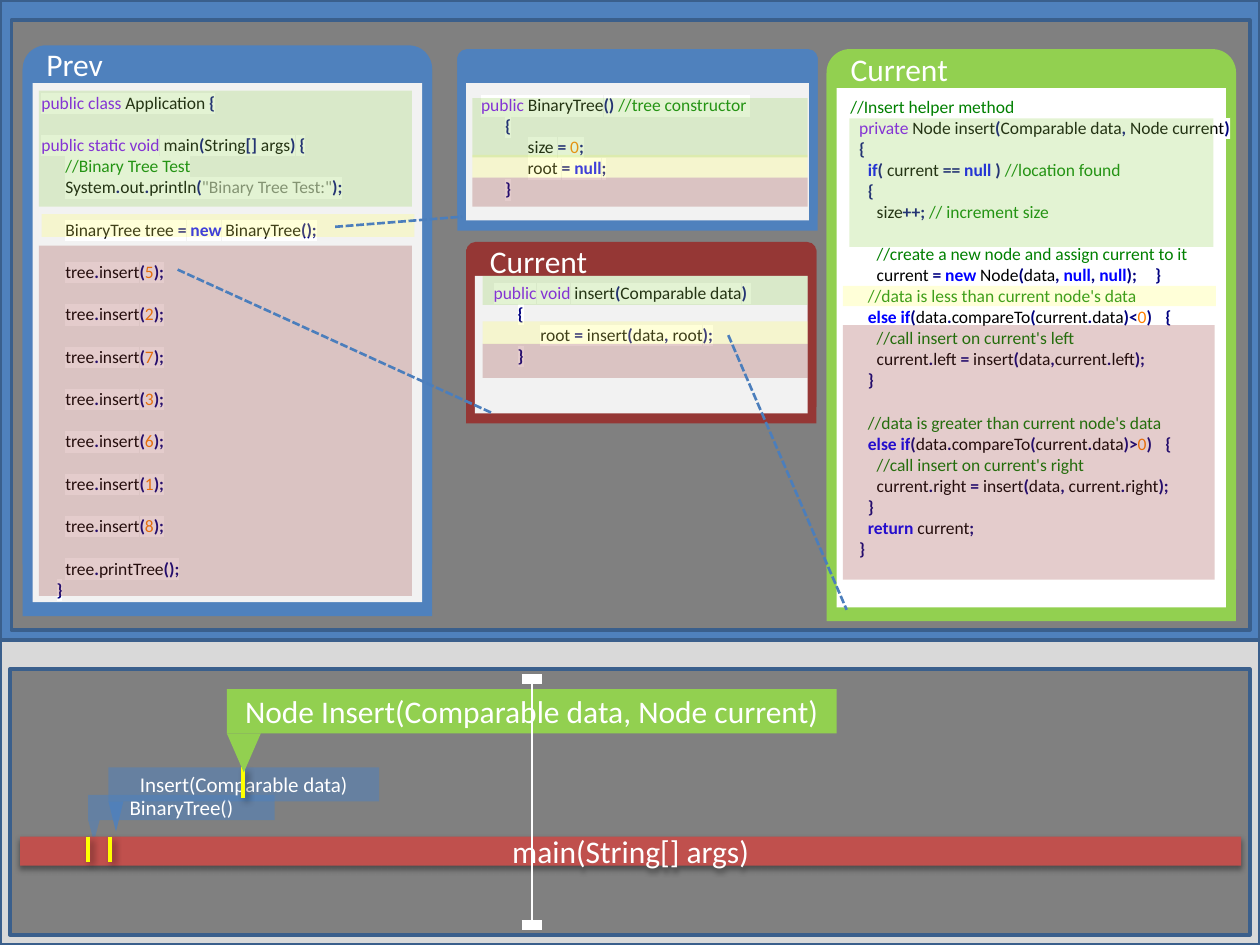
from dataclasses import dataclass
from itertools import groupby
from typing import Iterator, Optional

from lxml import etree
from pptx import Presentation
from pptx.dml.color import RGBColor
from pptx.enum.dml import MSO_LINE
from pptx.enum.shapes import MSO_CONNECTOR, MSO_SHAPE
from pptx.enum.text import MSO_ANCHOR, MSO_AUTO_SIZE, PP_ALIGN
from pptx.oxml.ns import qn
from pptx.util import Inches, Pt

RECT, TAB, TIP = MSO_SHAPE.RECTANGLE, MSO_SHAPE.ROUND_2_SAME_RECTANGLE, MSO_SHAPE.ISOSCELES_TRIANGLE
STRAIGHT, DASH = MSO_CONNECTOR.STRAIGHT, MSO_LINE.SQUARE_DOT
TOP, MIDDLE = MSO_ANCHOR.TOP, MSO_ANCHOR.MIDDLE
LEFT, CENTER = PP_ALIGN.LEFT, PP_ALIGN.CENTER
GROW = MSO_AUTO_SIZE.SHAPE_TO_FIT_TEXT
CELL = Inches(0.01)  # the slide is a grid of 1000 columns and 750 rows
Box = tuple[int, int, int, int]


@dataclass(frozen=True)
class Theme:
    """Colours and type sizes of the slide."""
    font: str = "Calibri"
    head: int = 18
    call: int = 12
    code: int = 10
    row: float = 12.2
    white: str = "FFFFFF"
    paper: str = "F2F2F2"
    pale: str = "D9D9D9"
    gray: str = "808080"
    blue: str = "4F81BD"
    edge: str = "3A5F8C"
    link: str = "4B7EBC"
    green: str = "92D050"
    wine: str = "953735"
    red: str = "C0504D"
    now: str = "FFFF66"
    tick: str = "FFFF00"
    plain: str = "000000"
    scope: str = "8000FF"
    key: str = "0000FF"
    sign: str = "000080"
    digit: str = "FF8000"
    note: str = "008000"


T = Theme()
SCOPE = {"public", "private", "class", "static", "void"}
KEYS = {"new", "null", "if", "else", "return"}


@dataclass
class Card:
    """A code window: frame, heading, lines of code and tinted bands."""
    box: Box
    head: int
    foot: int
    fill: str
    paper: str
    text: Box
    stops: tuple[int, ...]
    lines: list[str]
    bands: list[tuple[str, Box]]
    title: str = ""
    spot: Optional[Box] = None
    main: bool = False


@dataclass
class Call:
    """A bar on the call stack, with its pointer and ticks."""
    text: str
    box: Box
    fill: str
    size: int
    alpha: int = 100
    tip: Optional[tuple[int, int, int]] = None
    ticks: tuple[tuple[int, int, int], ...] = ()
    shade: Optional[tuple] = None


def scale(box: Box) -> list[int]:
    """Turn grid cells into slide lengths."""
    return [n * CELL for n in box]


def effect(item, shade: Optional[tuple] = None) -> None:
    """Give an item its own effect list, with a shadow if one is named."""
    props = item._element.spPr
    for old in props.findall(qn("a:effectLst")):
        props.remove(old)
    fx = etree.SubElement(props, qn("a:effectLst"))
    if shade:
        alpha, blur, dist, turn = shade
        outer = etree.SubElement(fx, qn("a:outerShdw"), blurRad=str(Pt(blur)), dist=str(Pt(dist)),
                                 dir=str(turn * 60000), rotWithShape="0")
        tone = etree.SubElement(outer, qn("a:srgbClr"), val=T.plain)
        etree.SubElement(tone, qn("a:alpha"), val=str(alpha * 1000))


def block(box: Box, fill: str, kind=RECT, alpha: int = 100, edge: str = ""):
    """Draw a filled shape."""
    item = slide.shapes.add_shape(kind, *scale(box))
    item.shadow.inherit = False
    item.fill.solid()
    item.fill.fore_color.rgb = RGBColor.from_string(fill)
    if alpha < 100:
        tone = item._element.spPr.find(qn("a:solidFill"))[0]
        etree.SubElement(tone, qn("a:alpha"), val=str(alpha * 1000))
    if edge:
        item.line.color.rgb = RGBColor.from_string(edge)
        item.line.width = Pt(2)
    else:
        item.line.fill.background()
    return item


def stroke(ends: Box, color: str, width: float, dash=None, shade: Optional[tuple] = None) -> None:
    """Draw a straight line between two points."""
    item = slide.shapes.add_connector(STRAIGHT, *scale(ends))
    item.line.color.rgb = RGBColor.from_string(color)
    item.line.width = Pt(width)
    if dash:
        item.line.dash_style = dash
    effect(item, shade)


def write(para, text: str, size: int, color: str, bold: bool = False):
    """Add one run of text."""
    run = para.add_run()
    run.text = text
    run.font.name, run.font.size, run.font.bold = T.font, Pt(size), bold
    run.font.color.rgb = RGBColor.from_string(color)
    return run


def label(item, text: str, size: int, align, anchor) -> None:
    """Put one line of white text in a shape."""
    frame = item.text_frame
    frame.vertical_anchor = anchor
    frame.paragraphs[0].alignment = align
    write(frame.paragraphs[0], text, size, T.white)


def tokens(line: str) -> Iterator[tuple[str, tuple[str, bool]]]:
    """Split a line of code into words with colour and weight."""
    code, mark, note = line.partition("//")
    for i, part in enumerate(code.split('"')):
        if i % 2:
            yield f'"{part}"', (T.gray, False)
            continue
        for kind, run in groupby(part, lambda c: "word" if c.isalnum() else "gap" if c.isspace() else "sign"):
            word = "".join(run)
            if kind == "sign":
                yield word, (T.sign, True)
            elif word in KEYS:
                yield word, (T.key, True)
            else:
                yield word, (T.scope if word in SCOPE else T.digit if word.isdigit() else T.plain, False)
    if mark:
        yield mark + note, (T.note, False)


def listing(box: Box, lines: list[str], stops: tuple[int, ...]) -> None:
    """Write coloured code; an empty line becomes space above the next."""
    frame = slide.shapes.add_textbox(*scale(box)).text_frame
    frame.word_wrap, frame.auto_size = True, GROW
    para, gap = frame.paragraphs[0], 0
    for i, line in enumerate(lines):
        if not line:
            gap += 1
            continue
        para = frame.add_paragraph() if i else para
        para.space_before, gap = Pt(gap * T.row), 0
        tabs = etree.SubElement(para._p.get_or_add_pPr(), qn("a:tabLst"))
        for stop in stops:
            etree.SubElement(tabs, qn("a:tab"), pos=str(stop * CELL), algn="l")
        for (color, bold), group in groupby(tokens(line), lambda pair: pair[1]):
            run = write(para, "".join(word for word, _ in group), T.code, color, bold)
            glow = etree.Element(qn("a:highlight"))
            etree.SubElement(glow, qn("a:srgbClr"), val=T.white)
            run.font._element.find(qn("a:solidFill")).addnext(glow)


def window(card: Card) -> None:
    """Draw a code window."""
    x, y, w, h = card.box
    side, drop = round(w * 0.026), round(h * 0.042)
    block((x, y, w, round(h * 0.91)), card.fill, TAB).adjustments[0] = 0.057
    block((x, y + drop, w, h - drop), card.fill)
    block((x + side, y + card.head, w - 2 * side, h - card.head - card.foot), card.paper)
    if card.spot:
        item = slide.shapes.title if card.main else slide.shapes.add_textbox(*scale(card.spot))
        if card.main:
            item.left, item.top, item.width, item.height = scale(card.spot)
            slide.shapes._spTree.append(item._element)
        item.text_frame.word_wrap, item.text_frame.auto_size = False, GROW
        label(item, card.title, T.head, LEFT, TOP)
    listing(card.text, card.lines, card.stops)
    for fill, box in card.bands:
        block(box, fill, alpha=25)


def stack(call: Call) -> None:
    """Draw a call bar."""
    x, y, w, h = call.box
    if call.tip:
        wide, tall, alpha = call.tip
        block((x, y + h, wide, tall), call.fill, TIP, alpha).rotation = 180
    bar = block(call.box, call.fill, alpha=call.alpha)
    effect(bar, call.shade)
    label(bar, call.text, call.size, CENTER, MIDDLE)
    for col, start, end in call.ticks:
        stroke((col, start, col, end), T.tick, 2.25, shade=(40, 4, 3, 45))


CARDS = [
    Card((18, 36, 325, 453), 30, 11, T.blue, T.paper, (23, 68, 265, 414), (12, 19),
         ["public class Application {", "", "public static void main(String[] args) {",
          "\t\t//Binary Tree Test", '\t\tSystem.out.println("Binary Tree Test:");', "",
          "\t\tBinaryTree tree = new BinaryTree();", "",
          *(line for n in (5, 2, 7, 3, 6, 1, 8) for line in (f"\t\ttree.insert({n});", "")),
          "\t\ttree.printTree();", "\t}"],
         [(T.now, (33, 170, 296, 18)), (T.green, (31, 72, 296, 92)), (T.wine, (31, 195, 296, 278))],
         "Prev", (27, 31, 65, 40)),
    Card((363, 39, 286, 144), 27, 8, T.blue, T.paper, (372, 70, 300, 94), (19, 37),
         ["public BinaryTree() //tree constructor ", "\t{", "\t\tsize = 0;", "\t\troot = null;", "\t}"],
         [(T.now, (375, 123, 266, 18)), (T.wine, (375, 141, 266, 23)), (T.green, (375, 78, 266, 47))]),
    Card((370, 192, 278, 144), 27, 8, T.wine, T.paper, (382, 219, 227, 77), (19, 37),
         ["public void insert(Comparable data) ", "\t{", "\t\troot = insert(data, root);", "\t}"],
         [(T.now, (383, 255, 258, 18)), (T.wine, (383, 273, 258, 27)), (T.green, (383, 219, 258, 23))],
         "Current", (379, 187, 98, 40)),
    Card((656, 39, 325, 454), 31, 11, T.green, T.white, (665, 71, 322, 397), (7, 14, 21, 235, 242, 249),
         ["//Insert helper method", "\tprivate Node insert(Comparable data, Node current) ", "\t{",
          "\t\tif( current == null ) //location found", "\t\t{", "\t\t\tsize++; // increment size", "",
          "\t\t\t//create a new node and assign current to it",
          "\t\t\tcurrent = new Node(data, null, null); \t\t}",
          "\t\t//data is less than current node's data",
          "\t\telse if(data.compareTo(current.data)<0) \t\t{", "\t\t\t//call insert on current's left",
          "\t\t\tcurrent.left = insert(data,current.left); ", "\t\t}", "",
          " \t\t//data is greater than current node's data",
          "\t\telse if(data.compareTo(current.data)>0) \t\t{", "\t\t\t//call insert on current's right",
          "\t\t\tcurrent.right = insert(data, current.right); ", "\t\t}", "\t\treturn current;", "\t} "],
         [(T.now, (669, 227, 296, 16)), (T.wine, (669, 258, 295, 202)), (T.green, (674, 94, 289, 102))],
         "Current", (665, 35, 98, 40), True),
]
CALLS = [
    Call("BinaryTree()", (70, 631, 148, 20), T.blue, T.call, 57, (9, 17, 57)),
    Call("main(String[] args)", (16, 664, 969, 23), T.red, T.head,
         ticks=((70, 664, 684), (87, 664, 684)), shade=(38, 3.1, 1.6, 90)),
    Call("Insert(Comparable data)", (86, 609, 215, 27), T.blue, T.call, 53, (12, 24, 87), ((193, 609, 633),)),
    Call("Node Insert(Comparable data, Node current)", (180, 547, 484, 35), T.green, T.head, tip=(27, 31, 100)),
]
FIELDS = [((0, 508, 1000, 242), T.pale), ((0, 0, 1000, 508), T.blue),
          ((8, 531, 984, 211), T.gray), ((9, 16, 983, 484), T.gray)]
LINKS = [(266, 180, 367, 172), (141, 214, 391, 328), (578, 266, 672, 484)]

deck = Presentation()
deck.slide_width, deck.slide_height = 1000 * CELL, 750 * CELL
slide = deck.slides.add_slide(deck.slide_layouts[5])
for field, fill in FIELDS:
    block(field, fill, edge=T.edge)
for card in CARDS:
    window(card)
for link in LINKS:
    stroke(link, T.link, 1.5, DASH)
for call in CALLS:
    stack(call)
stroke((422, 539, 422, 734), T.white, 1)
for row in (539, 734):
    stroke((414, row, 430, row), T.white, 6)
deck.save("out.pptx")
